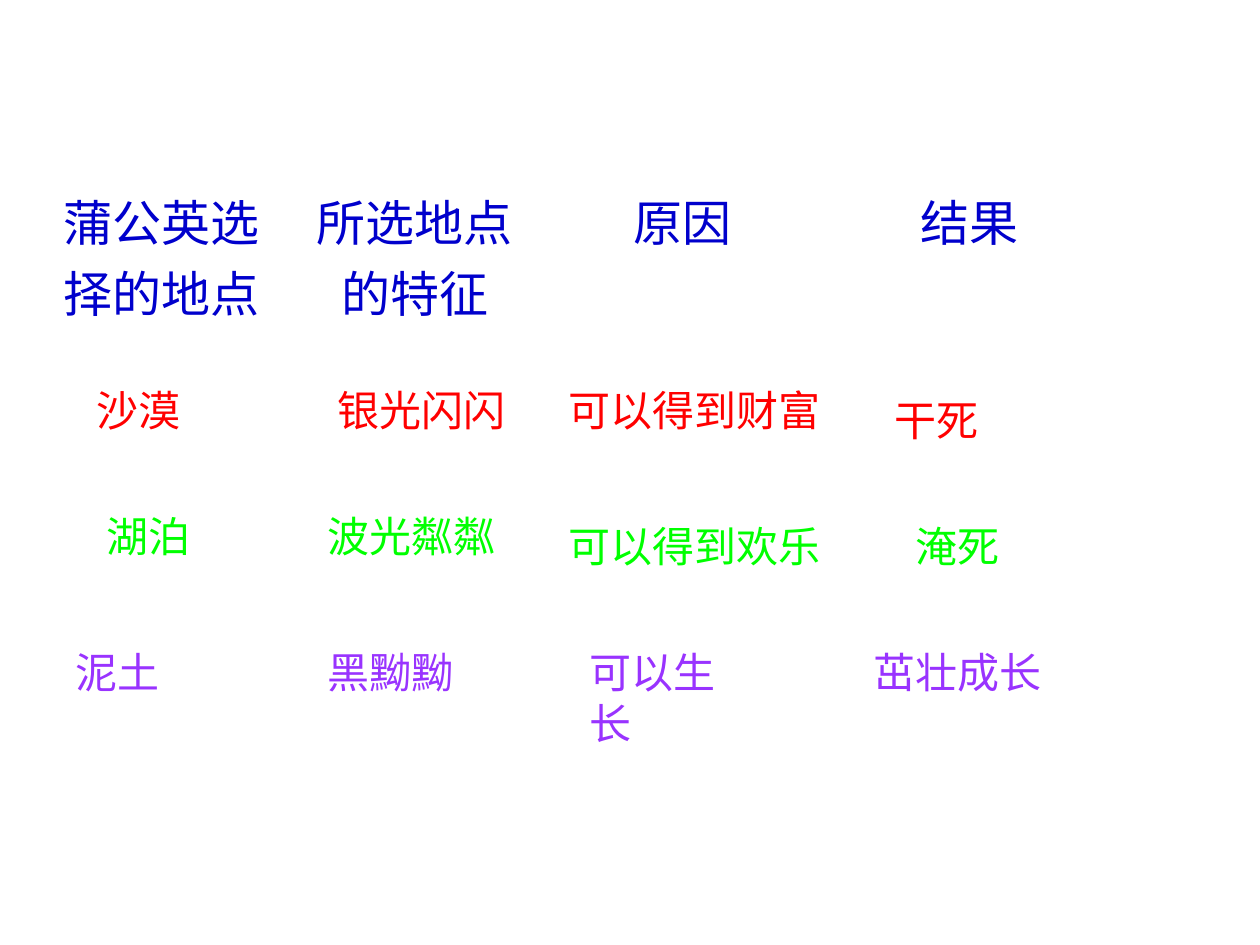
"""Build a slide on where the dandelion seeds land, why, and what becomes of them."""
from dataclasses import dataclass

from lxml.etree import SubElement
from pptx import Presentation
from pptx.dml.color import RGBColor as Color
from pptx.enum.text import MSO_AUTO_SIZE as AutoSize, PP_ALIGN as Align
from pptx.oxml.ns import qn
from pptx.util import Inches, Pt


@dataclass(frozen=True)
class Theme:
    font: str = "Arial"
    header: str = "0000CC"
    desert: str = "FF0000"
    lake: str = "00FF00"
    soil: str = "9933FF"
    paper: str = "FFFFFF"
    header_size: int = 28
    body_size: int = 24
    small_size: int = 18
    outer_line: float = 1.08
    inner_line: float = 0.45


class SlideBuilder:
    UNIT = Inches(1 / 12)

    def __init__(self, presentation, theme):
        self.theme = theme
        self.slide = presentation.slides.add_slide(presentation.slide_layouts[6])

    def grid(self, *values):
        return [round(value * self.UNIT) for value in values]

    def add_text(self, paragraph, text, color, size):
        run = paragraph.add_run()
        run.text = text
        for name, value in {"name": self.theme.font, "size": Pt(size)}.items():
            setattr(run.font, name, value)
        run.font.color.rgb = Color.from_string(color)

    def border(self, cell, outer_sides):
        properties = cell._tc.get_or_add_tcPr()
        for side in "LRTB":
            width = self.theme.outer_line if side in outer_sides else self.theme.inner_line
            line = SubElement(properties, qn(f"a:ln{side}"), w=str(Pt(width)))
            fill = SubElement(line, qn("a:solidFill"))
            SubElement(fill, qn("a:srgbClr"), val=self.theme.paper)

    def table(self, left, top, widths, heights, headers):
        frame = self.slide.shapes.add_table(
            len(heights), len(widths), *self.grid(left, top, sum(widths), sum(heights)))
        table = frame.table
        for name in ("first_row", "horz_banding"):
            setattr(table, name, False)
        for column, width in zip(table.columns, self.grid(*widths)):
            column.width = width
        for row, height in zip(table.rows, self.grid(*heights)):
            row.height = height
        last_row, last_column = len(heights) - 1, len(widths) - 1
        for r in range(len(heights)):
            for c in range(len(widths)):
                cell = table.cell(r, c)
                edges = {"L": c == 0, "R": c == last_column, "T": r == 0, "B": r == last_row}
                self.border(cell, [side for side, outer in edges.items() if outer])
                cell.fill.background()
        for c, text in enumerate(headers):
            paragraph = table.cell(0, c).text_frame.paragraphs[0]
            paragraph.alignment = Align.CENTER
            self.add_text(paragraph, text, self.theme.header, self.theme.header_size)

    def label(self, left, top, width, text, color, height=6, wrap=True, tail=""):
        shape = self.slide.shapes.add_textbox(*self.grid(left, top, width, height))
        frame = shape.text_frame
        for name, value in {"word_wrap": wrap, "auto_size": AutoSize.SHAPE_TO_FIT_TEXT}.items():
            setattr(frame, name, value)
        paragraph = frame.paragraphs[0]
        self.add_text(paragraph, text, color, self.theme.body_size)
        if tail:
            self.add_text(paragraph, tail, self.theme.paper, self.theme.small_size)


def main():
    theme = Theme()
    presentation = Presentation()
    presentation.slide_width, presentation.slide_height = Inches(10), Inches(7.5)
    builder = SlideBuilder(presentation, theme)
    builder.table(3, 17, [24.7, 23.6, 27.4, 27.3], [16.3, 12.2, 11.4, 13.2],
                  ["蒲公英选择的地点", "所选地点的特征", "原因", "结果"])
    rows = {
        theme.desert: [
            (8, 36, 17, "沙漠", {}),
            (31, 36, 26, "银光闪闪", {}),
            (53, 36, 26.4, "可以得到财富", {"wrap": False}),
            (84, 37, 14, "干死", {}),
        ],
        theme.lake: [
            (9, 48, 13, "湖泊", {}),
            (30, 48, 22, "波光粼粼", {}),
            (53, 49, 30, "可以得到欢乐", {}),
            (86, 49, 17, "淹死", {}),
        ],
        theme.soil: [
            (6, 61, 19, "泥土", {}),
            (30, 61, 19, "黑黝黝", {}),
            (55, 61, 19, "可以生长", {"height": 10.8, "tail": "　"}),
            (82, 61, 23, "茁壮成长", {}),
        ],
    }
    for color, labels in rows.items():
        for left, top, width, text, options in labels:
            builder.label(left, top, width, text, color, **options)
    presentation.save("out.pptx")


if __name__ == "__main__":
    main()
